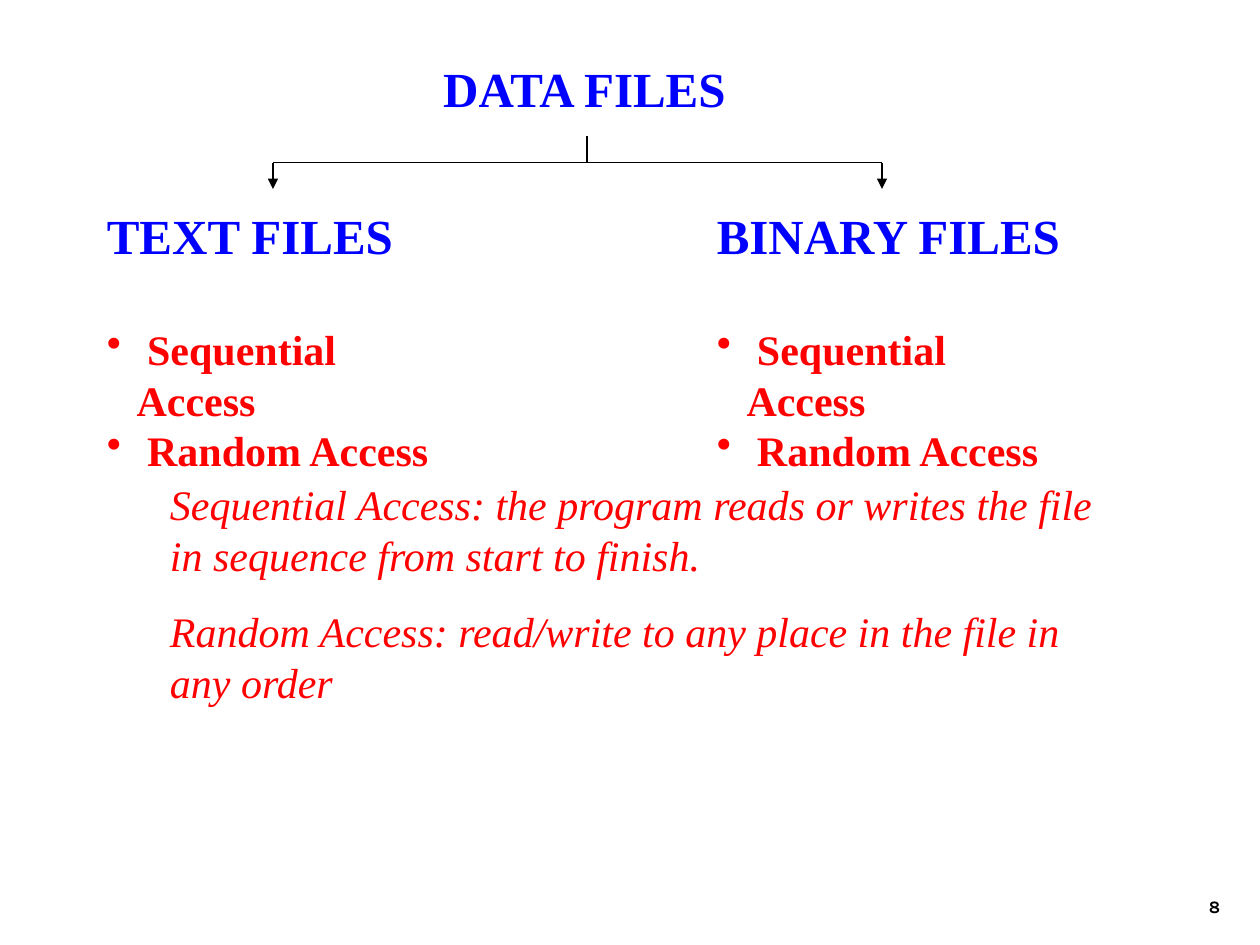
from lxml import etree
from pptx import Presentation
from pptx.dml.color import RGBColor
from pptx.enum.shapes import MSO_CONNECTOR
from pptx.enum.text import MSO_ANCHOR, PP_ALIGN
from pptx.oxml.ns import qn
from pptx.util import Pt

LINE = MSO_CONNECTOR.STRAIGHT
BOTTOM = MSO_ANCHOR.BOTTOM
RIGHT = PP_ALIGN.RIGHT
SERIF = "Times New Roman"
BLUE, RED, BLACK = "0000FF", "FF0000", "000000"


def paint(color, code):
    color.rgb = RGBColor.from_string(code)


def style(para, size, code, bold=False, italic=False, face=SERIF):
    for run in para.runs:
        font = run.font
        font.name, font.size = face, Pt(size)
        font.bold, font.italic = bold, italic
        paint(font.color, code)


def add_text(slide, left, top, width, height, lines, wrap=True):
    """Add a text box with one paragraph a line and return its frame."""
    box = slide.shapes.add_textbox(Pt(left), Pt(top), Pt(width), Pt(height))
    frame = box.text_frame
    frame.word_wrap = wrap
    frame.text = "\n".join(lines)
    return frame


def add_bullet(para, code, indent=17):
    props = para._p.get_or_add_pPr()
    props.set("marL", str(Pt(indent)))
    props.set("indent", str(Pt(-indent)))
    color = etree.SubElement(props, qn("a:buClr"))
    etree.SubElement(color, qn("a:srgbClr"), val=code)
    etree.SubElement(props, qn("a:buChar"), char="•")


def add_line(slide, x1, y1, x2, y2, arrow=False):
    line = slide.shapes.add_connector(LINE, Pt(x1), Pt(y1), Pt(x2), Pt(y2))
    line.line.width = Pt(0.75)
    paint(line.line.color, BLACK)
    if arrow:
        etree.SubElement(line.line._get_or_add_ln(), qn("a:tailEnd"), type="triangle")
    etree.SubElement(line._element.spPr, qn("a:effectLst"))


def add_branch(slide, left, width, head):
    """Add a file type with its ways of access."""
    lines = [head, " Sequential Access", " Random Access"]
    first, *items = add_text(slide, left, 113.8, width, 161, lines).paragraphs
    style(first, 28, BLUE, bold=True)
    for item in items:
        add_bullet(item, RED)
        style(item, 24, RED, bold=True)
    items[0].space_before = Pt(34)


def add_tree(slide):
    """Add the lines from the title down to both branches."""
    top, mid, low = 78, 93, 108
    left, right = 156, 504
    add_line(slide, 335.5, top, 335.5, mid)
    add_line(slide, left, mid, right, mid)
    for x in (left, right):
        add_line(slide, x, mid, x, low, arrow=True)


def add_notes(slide):
    """Add the meaning of each way of access."""
    lines = [
        "Sequential Access: the program reads or writes the file in sequence from start to finish.",
        "Random Access: read/write to any place in the file in any order",
    ]
    first, second = add_text(slide, 90, 270, 552, 137.5, lines).paragraphs
    for para in (first, second):
        style(para, 24, RED, italic=True)
    second.space_before = Pt(15)


def add_number(slide):
    frame = add_text(slide, 554.4, 491.8, 149.8, 36, ["8"])
    frame.vertical_anchor = BOTTOM
    para = frame.paragraphs[0]
    para.alignment = RIGHT
    style(para, 10, BLACK, bold=True, face="Karla")


def main():
    deck = Presentation()
    deck.slide_width, deck.slide_height = Pt(720), Pt(540)
    slide = deck.slides.add_slide(deck.slide_layouts[6])
    title = add_text(slide, 246.2, 30.2, 181.4, 41, ["DATA FILES"], wrap=False)
    style(title.paragraphs[0], 28, BLUE, bold=True)
    add_branch(slide, 54, 210.2, "TEXT FILES")
    add_branch(slide, 402.5, 212.4, "BINARY FILES")
    add_tree(slide)
    add_notes(slide)
    add_number(slide)
    deck.save("out.pptx")


if __name__ == "__main__":
    main()
